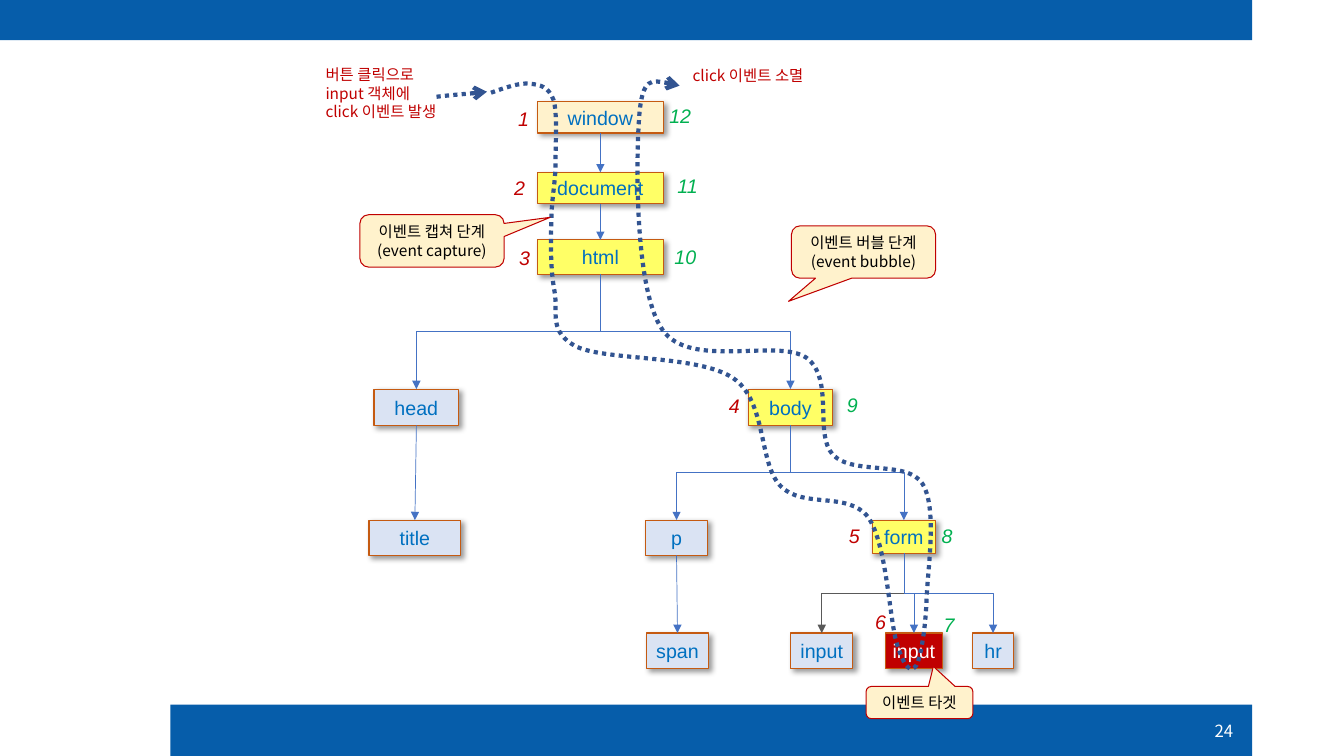
from lxml import etree
from pptx import Presentation
from pptx.dml.color import RGBColor
from pptx.enum.dml import MSO_LINE
from pptx.enum.shapes import MSO_CONNECTOR, MSO_SHAPE
from pptx.enum.text import MSO_ANCHOR, MSO_AUTO_SIZE, PP_ALIGN
from pptx.oxml.ns import qn
from pptx.util import Inches, Pt

RECT, CALLOUT = MSO_SHAPE.RECTANGLE, MSO_SHAPE.ROUNDED_RECTANGULAR_CALLOUT
STRAIGHT, ELBOW = MSO_CONNECTOR.STRAIGHT, MSO_CONNECTOR.ELBOW
LEFT, CENTER, RIGHT = PP_ALIGN.LEFT, PP_ALIGN.CENTER, PP_ALIGN.RIGHT
MIDDLE, TOP = MSO_ANCHOR.MIDDLE, MSO_ANCHOR.TOP
GROW, DOTS = MSO_AUTO_SIZE.SHAPE_TO_FIT_TEXT, MSO_LINE.ROUND_DOT
LATIN, KOREAN = "Arial", "Noto Sans CJK KR"
BLUE, RED, GREEN, CREAM = "065DAA", "C00000", "00B050", "FFF2CC"
YELLOW, PALE, WIRE, GRAY = "FFFF66", "DAE3F3", "4472C4", "595959"

prs = Presentation()
prs.slide_width, prs.slide_height = Inches(13.33), Inches(7.5)
CELL = prs.slide_height // 750
s = prs.slides.add_slide(prs.slide_layouts[6])
hexa = RGBColor.from_string


def write(sp, text, size, font, color, align=LEFT, italic=False, before=0, **frame):
    tf = sp.text_frame
    for key, value in {"word_wrap": False, "vertical_anchor": TOP, **frame}.items():
        setattr(tf, key, value)
    for i, line in enumerate(text.split("\n")):
        p = tf.add_paragraph() if i else tf.paragraphs[0]
        p.alignment, p.space_before = align, Pt(before)
        r = p.add_run()
        r.text = line
        for key, value in {"size": Pt(size), "name": font, "italic": italic}.items():
            setattr(r.font, key, value)
        r.font.color.rgb = hexa(color)
        etree.SubElement(r._r.get_or_add_rPr(), qn("a:ea"), typeface=font)


def stroke(sp, color, width, arrow=None, dash=None):
    sp.line.color.rgb = hexa(color)
    sp.line.width = Pt(width)
    if dash:
        sp.line.dash_style = dash
    ln = sp._element.spPr.find(qn("a:ln"))
    if arrow:
        etree.SubElement(ln, qn("a:tailEnd"), type=arrow)
    if sp._element.spPr.find(qn("a:effectLst")) is None:
        ln.addnext(etree.Element(qn("a:effectLst")))


for bar in [(169, 699, 1073, 51), (0, 0, 1242, 40)]:
    sp = s.shapes.add_shape(RECT, *[v * CELL for v in bar])
    sp.shadow.inherit = False
    sp.fill.solid()
    sp.fill.fore_color.rgb = hexa(BLUE)
    sp.line.fill.background()
sp = s.shapes.add_textbox(*[v * CELL for v in (1172, 705, 61, 40)])
write(sp, "24", 12, KOREAN, "FFFFFF", RIGHT, vertical_anchor=MIDDLE)

nodes = {}
for key, left, top, width, height, fill in [
    ("window", 533, 101, 125, 31, CREAM),
    ("document", 533, 171, 125, 31, YELLOW),
    ("html", 533, 238, 125, 34, YELLOW),
    ("head", 371, 386, 84, 36, PALE),
    ("body", 742, 386, 84, 36, YELLOW),
    ("title", 366, 516, 91, 35, PALE),
    ("p", 640, 516, 62, 35, PALE),
    ("form", 865, 516, 63, 33, YELLOW),
    ("span", 641, 628, 62, 35, PALE),
    ("input", 784, 628, 62, 35, PALE),
    ("target", 878, 628, 57, 35, RED),
    ("hr", 965, 628, 40, 35, PALE),
]:
    sp = s.shapes.add_shape(RECT, *[v * CELL for v in (left, top, width, height)])
    sp.fill.solid()
    sp.fill.fore_color.rgb = hexa(fill)
    sp.shadow.inherit = False
    stroke(sp, "C55A11", 0.75)
    effects = sp._element.spPr.find(qn("a:effectLst"))
    shadow = etree.SubElement(effects, qn("a:outerShdw"), blurRad=str(Pt(4)),
                              dist=str(Pt(3)), dir="2700000", algn="tl", rotWithShape="0")
    tint = etree.SubElement(shadow, qn("a:srgbClr"), val="000000")
    etree.SubElement(tint, qn("a:alpha"), val="40000")
    label, color = ("input", "FFFFFF") if key == "target" else (key, "0070C0")
    write(sp, label, 14, LATIN, color, CENTER, before=2.8, vertical_anchor=MIDDLE,
          margin_left=4 * CELL, margin_right=4 * CELL)
    nodes[key] = sp

for parent, child, kind, color in [
    ("window", "document", STRAIGHT, WIRE), ("document", "html", STRAIGHT, WIRE),
    ("head", "title", STRAIGHT, WIRE), ("p", "span", STRAIGHT, WIRE),
    ("html", "head", ELBOW, WIRE), ("html", "body", ELBOW, WIRE),
    ("body", "p", ELBOW, WIRE), ("body", "form", ELBOW, WIRE),
    ("form", "input", ELBOW, GRAY), ("form", "target", ELBOW, WIRE),
    ("form", "hr", ELBOW, WIRE),
]:
    c = s.shapes.add_connector(kind, 0, 0, 0, 0)
    c.begin_connect(nodes[parent], 2)
    c.end_connect(nodes[child], 0)
    if kind == ELBOW:
        dx, dy = c.end_x - c.begin_x, c.end_y - c.begin_y
        mid_x, mid_y = (c.begin_x + c.end_x) // 2, (c.begin_y + c.end_y) // 2
        c.left, c.top = mid_x - dy // 2, mid_y - abs(dx) // 2
        c.width, c.height = dy, abs(dx)
        xfrm = c._element.spPr.find(qn("a:xfrm"))
        xfrm.set("rot", "16200000" if dx > 0 else "5400000")
        xfrm.set("flipH", "1" if dx > 0 else "0")
    stroke(c, color, 0.5, "triangle")

event_route = [
    (487, 92), (501, 87), (515, 82), (525, 83), (536, 84), (544, 86), (549, 99),
    (553, 112), (551, 142), (551, 162), (551, 182), (547, 197), (547, 218),
    (546, 239), (546, 268), (550, 289), (554, 310), (543, 329), (572, 344),
    (602, 358), (693, 352), (727, 375), (761, 398), (752, 459), (774, 482),
    (796, 505), (841, 487), (861, 513), (880, 540), (882, 616), (890, 640),
    (898, 665), (904, 667), (909, 660), (913, 652), (918, 625), (919, 595),
    (920, 565), (930, 504), (915, 480), (900, 456), (846, 472), (826, 451),
    (807, 430), (828, 376), (800, 355), (771, 335), (684, 367), (657, 327),
    (629, 287), (631, 156), (634, 116), (637, 75), (655, 80), (674, 85),
]
event_start = [(433, 96), (450, 94), (467, 93), (483, 91)]
for points in (event_route, event_start):
    builder = s.shapes.build_freeform(*points[0], scale=CELL)
    builder.add_line_segments(points[1:], close=False)
    sp = builder.convert_to_shape()
    sp.shadow.inherit = False
    sp.fill.background()
    steps = list(sp._element.iter(qn("a:lnTo")))
    for curve, *others in zip(steps[::3], steps[1::3], steps[2::3]):
        curve.tag = qn("a:cubicBezTo")
        for other in others:
            curve.append(other[0])
            other.getparent().remove(other)
    stroke(sp, "325491", 3, "arrow", DOTS)

for text, left, top, width, color in [
    ("1", 504, 101, 31, RED), ("2", 500, 170, 31, RED), ("3", 505, 239, 31, RED),
    ("4", 713, 386, 31, RED), ("5", 832, 515, 31, RED), ("6", 858, 600, 31, RED),
    ("7", 926, 603, 31, GREEN), ("8", 924, 515, 31, GREEN), ("9", 830, 385, 31, GREEN),
    ("10", 659, 238, 42, GREEN), ("11", 662, 168, 40, GREEN), ("12", 654, 98, 42, GREEN),
]:
    sp = s.shapes.add_textbox(*[v * CELL for v in (left, top, width, 34)])
    write(sp, text, 14, LATIN, color, italic=True, auto_size=GROW)

for text, box in [
    ("버튼 클릭으로\ninput 객체에\nclick 이벤트 발생", (313, 60, 139, 66)),
    ("click 이벤트 소멸", (677, 61, 139, 29)),
]:
    sp = s.shapes.add_textbox(*[v * CELL for v in box])
    write(sp, text, 11, KOREAN, RED, auto_size=GROW)

for text, box, tip in [
    ("이벤트 캡쳐 단계\n(event capture)", (357, 213, 143, 52), (0.82, -0.45)),
    ("이벤트 버블 단계\n(event bubble)", (785, 224, 143, 52), (-0.52, 0.94)),
    ("이벤트 타겟", (859, 681, 106, 32), (0.13, -1.12)),
]:
    sp = s.shapes.add_shape(CALLOUT, *[v * CELL for v in box])
    sp.shadow.inherit = False
    sp.adjustments[0], sp.adjustments[1] = tip
    sp.fill.solid()
    sp.fill.fore_color.rgb = hexa(CREAM)
    stroke(sp, RED, 0.75)
    write(sp, text, 11, KOREAN, "000000", CENTER, auto_size=GROW)

prs.save("out.pptx")
